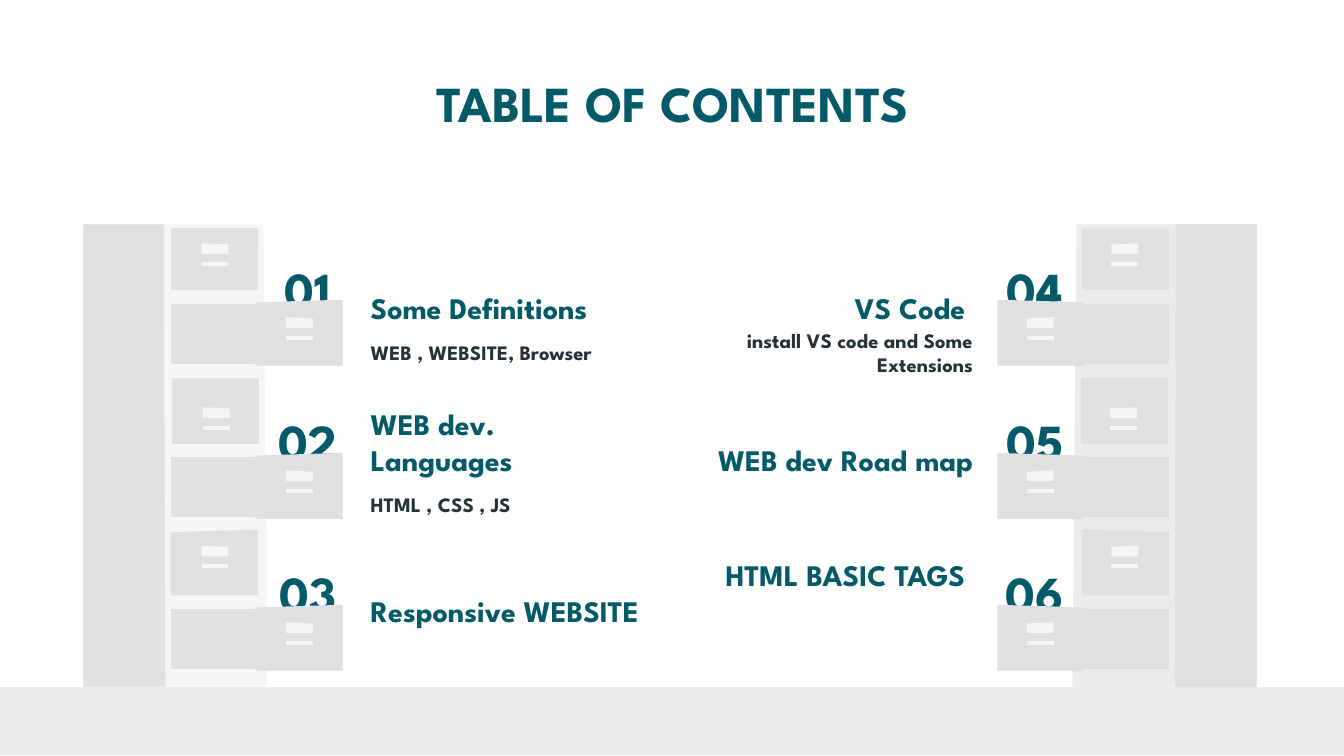
"""Build a table of contents slide framed by two filing cabinets."""
from pptx import Presentation
from pptx.dml.color import RGBColor
from pptx.enum.text import MSO_ANCHOR, MSO_AUTO_SIZE, PP_ALIGN
from pptx.util import Inches, Pt

LEFT, CENTER, RIGHT = PP_ALIGN.LEFT, PP_ALIGN.CENTER, PP_ALIGN.RIGHT
TOP, MIDDLE, BOTTOM = MSO_ANCHOR.TOP, MSO_ANCHOR.MIDDLE, MSO_ANCHOR.BOTTOM
FONT = "League Spartan"
COLORS = {"teal": "045A68", "dark": "263238", "floor": "EBEBEB",
          "drawer": "E0E0E0", "light": "F5F5F5"}
MIRROR = 9.97


def write(shape, text, size, color, align, anchor):
    tf = shape.text_frame
    frame = {"word_wrap": True, "auto_size": MSO_AUTO_SIZE.NONE, "vertical_anchor": anchor}
    for side in ("left", "right", "top", "bottom"):
        frame[f"margin_{side}"] = Inches(0.1)
    for name, value in frame.items():
        setattr(tf, name, value)
    p = tf.paragraphs[0]
    p.alignment = align
    r = p.add_run()
    r.text = text
    for name, value in {"name": FONT, "size": Pt(size), "bold": True}.items():
        setattr(r.font, name, value)
    r.font.color.rgb = RGBColor.from_string(COLORS[color])


def polygon(shapes, points, color, mirrored=False):
    pts = [(Inches(MIRROR - x if mirrored else x), Inches(y)) for x, y in points]
    builder = shapes.build_freeform(*pts[0], scale=1.0)
    builder.add_line_segments(pts[1:], close=True)
    sp = builder.convert_to_shape()
    sp.shadow.inherit = False
    sp.fill.solid()
    sp.fill.fore_color.rgb = RGBColor.from_string(COLORS[color])
    sp.line.fill.background()


prs = Presentation()
prs.slide_width = Inches(10)
prs.slide_height = prs.slide_width * 9 // 16
s = prs.slides.add_slide(prs.slide_layouts[5])

polygon(s.shapes, [(0, 5.11), (10, 5.11), (10, 5.62), (0, 5.62)], "floor")

title = s.shapes.title
for name, value in {"left": 0.79, "top": 0.59, "width": 8.43, "height": 0.35}.items():
    setattr(title, name, Inches(value))
write(title, "TABLE OF CONTENTS", 27, "teal", CENTER, MIDDLE)

row_tops = [1.82, 2.95, 4.08]
columns = [
    (2.66, 2.2, 1.93, LEFT, [
        ("01", "Some Definitions", "WEB , WEBSITE, Browser", 0),
        ("02", "WEB dev. Languages", "HTML , CSS , JS", 0),
        ("03", "Responsive WEBSITE", "", 0)]),
    (4.98, 2.36, 7.34, RIGHT, [
        ("04", "VS Code ", "install VS code and Some Extensions", 0),
        ("05", "WEB dev Road map", "", 0),
        ("06", "HTML BASIC TAGS ", "", 0.27)]),
]
for x, width, number_x, align, entries in columns:
    for top, (number, heading, detail, lift) in zip(row_tops, entries):
        boxes = [
            (heading, x, top - lift, width, 0.7, 16, "teal", align, BOTTOM),
            (detail, x, top + 0.7, width, 0.2, 11, "dark", align, MIDDLE),
            (number, number_x, top, 0.72, 0.9, 27, "teal", CENTER, TOP),
        ]
        for text, bx, by, bw, bh, size, color, box_align, anchor in boxes:
            if text:
                sp = s.shapes.add_textbox(Inches(bx), Inches(by), Inches(bw), Inches(bh))
                write(sp, text, size, color, box_align, anchor)

closed_drawers = [(1.27, 1.7, 0.46, 0, 0.11), (1.28, 2.81, 0.49, 0, 0.22),
                  (1.27, 3.94, 0.49, 0.02, 0.12)]
open_drawers = [(1.9, y, 0.49, 0.02, 0.13) for y in (2.23, 3.37, 4.5)]

for mirrored, body_color in ((True, "floor"), (False, "light")):
    cabinet = s.shapes.add_group_shape().shapes
    polygon(cabinet, [(0.62, 1.67), (1.96, 1.67), (1.99, 5.11), (0.62, 5.11)],
            body_color, mirrored)
    polygon(cabinet, [(0.62, 1.67), (1.22, 1.67), (1.23, 5.11), (0.62, 5.11)],
            "drawer", mirrored)
    for _, y, _, _, _ in open_drawers:
        polygon(cabinet, [(1.27, y + 0.03), (1.91, y + 0.03), (1.91, y + 0.48),
                          (1.27, y + 0.48)], "drawer", mirrored)
    for x, y, height, tilt, label in closed_drawers + open_drawers:
        right, bottom = x + 0.65, y + height
        polygon(cabinet, [(x, y + tilt), (right, y), (right, bottom), (x, bottom)],
                "drawer", mirrored)
        left, right, plate, strip = x + 0.23, x + 0.43, y + label, y + label + 0.14
        polygon(cabinet, [(left, plate), (right, plate + 0.01), (right, plate + 0.08),
                          (left, plate + 0.08)], "light", mirrored)
        polygon(cabinet, [(left, strip), (right, strip), (right, strip + 0.03),
                          (left, strip + 0.03)], "light", mirrored)

prs.save("out.pptx")
